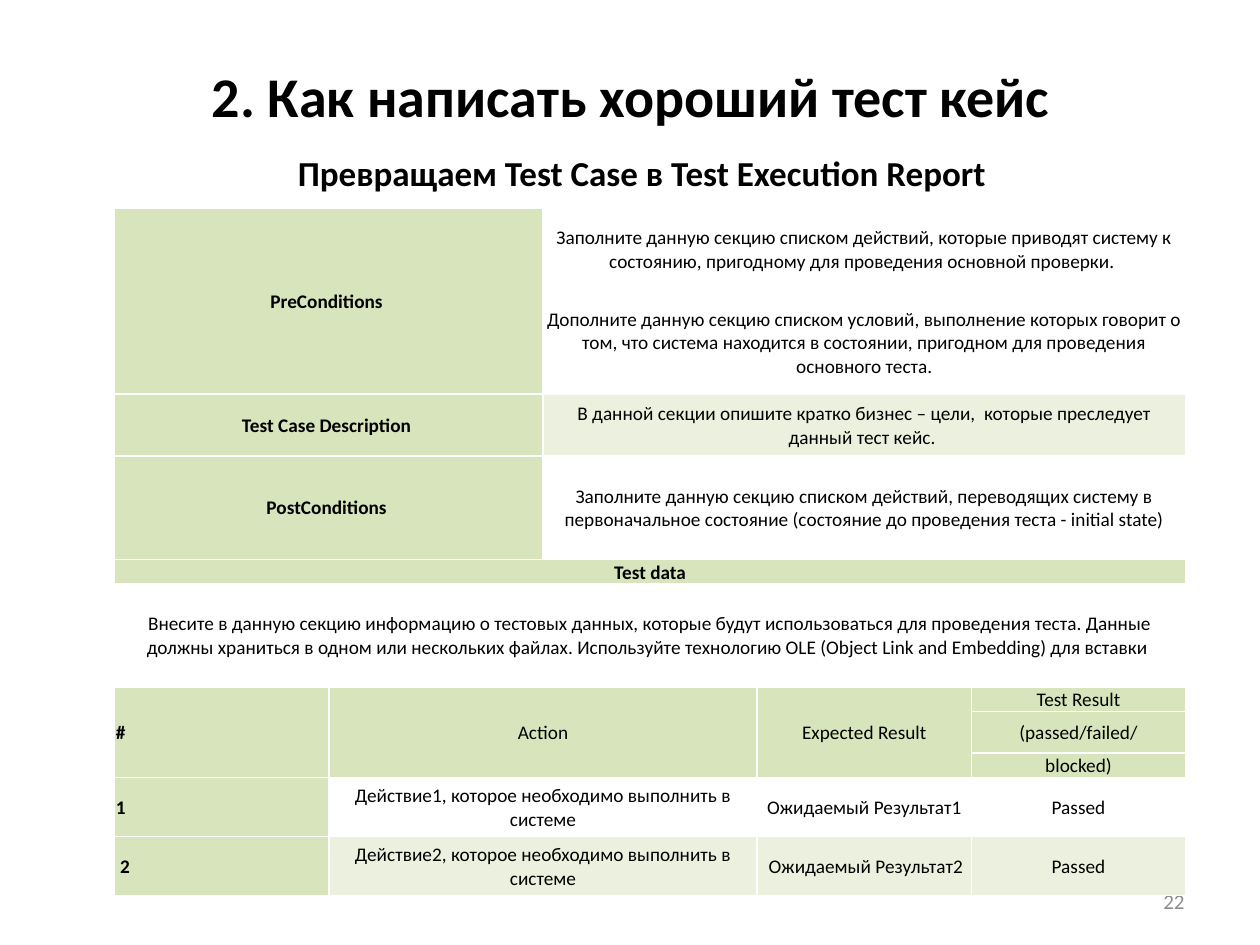
from dataclasses import dataclass
from itertools import product

from lxml import etree
from pptx import Presentation
from pptx import util as u
from pptx.dml.color import RGBColor
from pptx.enum import text
from pptx.oxml import ns

BLACK = RGBColor(0, 0, 0)
WHITE = RGBColor(255, 255, 255)
GREY = RGBColor(0x8C, 0x8C, 0x8C)
GREEN = RGBColor(0xD8, 0xE4, 0xBC)
PALE = RGBColor(0xEB, 0xF1, 0xDE)
FONT = "Calibri"
MID = text.PP_ALIGN.CENTER
LEFT = text.PP_ALIGN.LEFT
RIGHT = text.PP_ALIGN.RIGHT
ROWS = (0.66, 0.82, 0.49, 0.82, 0.18, 0.82, 0.17, 0.33, 0.18, 0.47, 0.47)
COLS = 5
WIDE = 8.5


@dataclass(frozen=True)
class Label:
    words: str
    left: float
    top: float
    width: float
    height: float
    size: float
    color: RGBColor = BLACK
    bold: bool = True
    align: text.PP_ALIGN = MID
    anchor: text.MSO_ANCHOR = text.MSO_ANCHOR.MIDDLE
    wrap: bool = True


@dataclass(frozen=True)
class Box:
    row: int
    col: int
    words: str
    fill: RGBColor = WHITE
    high: int = 1
    wide: int = 1
    bold: bool = False
    align: text.PP_ALIGN = MID
    sides: str = "LRTB"
    lead: str = ""


LABELS = (
    Label("2. Как написать хороший тест кейс", 0.51, 0.13, 9, 1.25, 32),
    Label("22", 7.17, 6.95, 2.33, 0.4, 12, GREY, False, RIGHT),
    Label("Превращаем Test Case в Test Execution Report", 1.77, 1.15, 6.65, 0.44, 20,
          anchor=text.MSO_ANCHOR.TOP, wrap=False),
)

BOXES = (
    Box(0, 0, "PreConditions ", GREEN, 2, 2, True),
    Box(0, 2, "Заполните данную секцию списком действий, которые приводят систему к "
        "состоянию, пригодному для проведения основной проверки. ", wide=3, sides="LRT"),
    Box(1, 2, "Дополните данную секцию списком условий, выполнение которых говорит о том, "
        "что система находится в состоянии, пригодном для проведения основного теста.",
        wide=3, sides="LRB"),
    Box(2, 0, "Test Case Description ", GREEN, 1, 2, True),
    Box(2, 2, "В данной секции опишите кратко бизнес – цели,  которые преследует "
        "данный тест кейс. ", PALE, wide=3),
    Box(3, 0, "PostConditions ", GREEN, 1, 2, True),
    Box(3, 2, "Заполните данную секцию списком действий, переводящих систему в "
        "первоначальное состояние (состояние до проведения теста - initial state)", wide=3),
    Box(4, 0, "Test data", GREEN, 1, COLS, True),
    Box(5, 0, "Внесите в данную секцию информацию о тестовых данных, которые будут "
        "использоваться для проведения теста. Данные должны храниться в одном или "
        "нескольких файлах. Используйте технологию OLE (Object Link and Embedding) "
        "для вставки ", wide=COLS),
    Box(6, 0, "#", GREEN, 3, 1, True, LEFT),
    Box(6, 1, "Action", GREEN, 3, 2),
    Box(6, 3, "Expected Result", GREEN, 3),
    Box(6, 4, "Test Result", GREEN, sides="LRT"),
    Box(7, 4, "(passed/failed/", GREEN, sides="LR"),
    Box(8, 4, "blocked)", GREEN, sides="LRB"),
) + tuple(
    box
    for num, fill, lead in ((1, WHITE, ""), (2, PALE, "\u00a0"))
    for box in (
        Box(8 + num, 0, f"{lead}{num}", GREEN, bold=True, align=LEFT),
        Box(8 + num, 1, f"Действие{num}, которое необходимо выполнить в системе", fill, wide=2),
        Box(8 + num, 3, f"Ожидаемый Результат{num}", fill, lead=lead),
        Box(8 + num, 4, "Passed", fill),
    )
)


def add_run(para, words: str, size: float, bold: bool, color: RGBColor = BLACK) -> None:
    run = para.add_run()
    run.text = words
    run.font.name = FONT
    run.font.size = u.Pt(size)
    run.font.bold = bold
    run.font.color.rgb = color


def add_label(slide, label: Label) -> None:
    spot = (label.left, label.top, label.width, label.height)
    frame = slide.shapes.add_textbox(*map(u.Inches, spot)).text_frame
    frame.word_wrap = label.wrap
    frame.vertical_anchor = label.anchor
    para = frame.paragraphs[0]
    para.alignment = label.align
    add_run(para, label.words, label.size, label.bold, label.color)


def add_edge(props, side: str, width: float, slot: int) -> None:
    line = etree.Element(ns.qn(f"a:ln{side}"), w=str(u.Pt(width)))
    fill = etree.SubElement(line, ns.qn("a:solidFill"))
    etree.SubElement(fill, ns.qn("a:srgbClr"), val=str(WHITE))
    props.insert(slot, line)


def style_cell(cell, box: Box, row: int) -> None:
    cell.margin_left = cell.margin_right = cell.margin_top = u.Inches(0.01)
    cell.margin_bottom = 0
    cell.vertical_anchor = text.MSO_ANCHOR.MIDDLE
    cell.fill.solid()
    cell.fill.fore_color.rgb = box.fill
    props = cell._tc.get_or_add_tcPr()
    for slot, side in enumerate(box.sides):
        thick = (row, side) in ((1, "B"), (2, "T"))
        add_edge(props, side, 1.5 if thick else 1, slot)


def fill_box(table, box: Box) -> None:
    rows = range(box.row, box.row + box.high)
    cols = range(box.col, box.col + box.wide)
    for row, col in product(rows, cols):
        cell = table.cell(row, col)
        style_cell(cell, box, row)
        para = cell.text_frame.paragraphs[0]
        if (row, col) != (box.row, box.col):
            etree.SubElement(para._p, ns.qn("a:endParaRPr"), sz="800")
            continue
        para.alignment = box.align
        if box.lead:
            add_run(para, box.lead, 8, False)
        add_run(para, box.words, 11, box.bold)
    if box.high * box.wide > 1:
        table.cell(box.row, box.col).merge(table.cell(rows[-1], cols[-1]))


def add_grid(slide) -> None:
    spot = (0.91, 1.65, WIDE, sum(ROWS))
    table = slide.shapes.add_table(len(ROWS), COLS, *map(u.Inches, spot)).table
    table.first_row = table.horz_banding = False
    for col in table.columns:
        col.width = u.Inches(WIDE / COLS)
    for row, high in zip(table.rows, ROWS):
        row.height = u.Inches(high)
    for box in BOXES:
        fill_box(table, box)


def main() -> None:
    """Build the test case slide."""
    deck = Presentation()
    deck.slide_width, deck.slide_height = u.Inches(10), u.Inches(7.5)
    slide = deck.slides.add_slide(deck.slide_layouts[6])
    for label in LABELS:
        add_label(slide, label)
    add_grid(slide)
    deck.save("out.pptx")


main()
